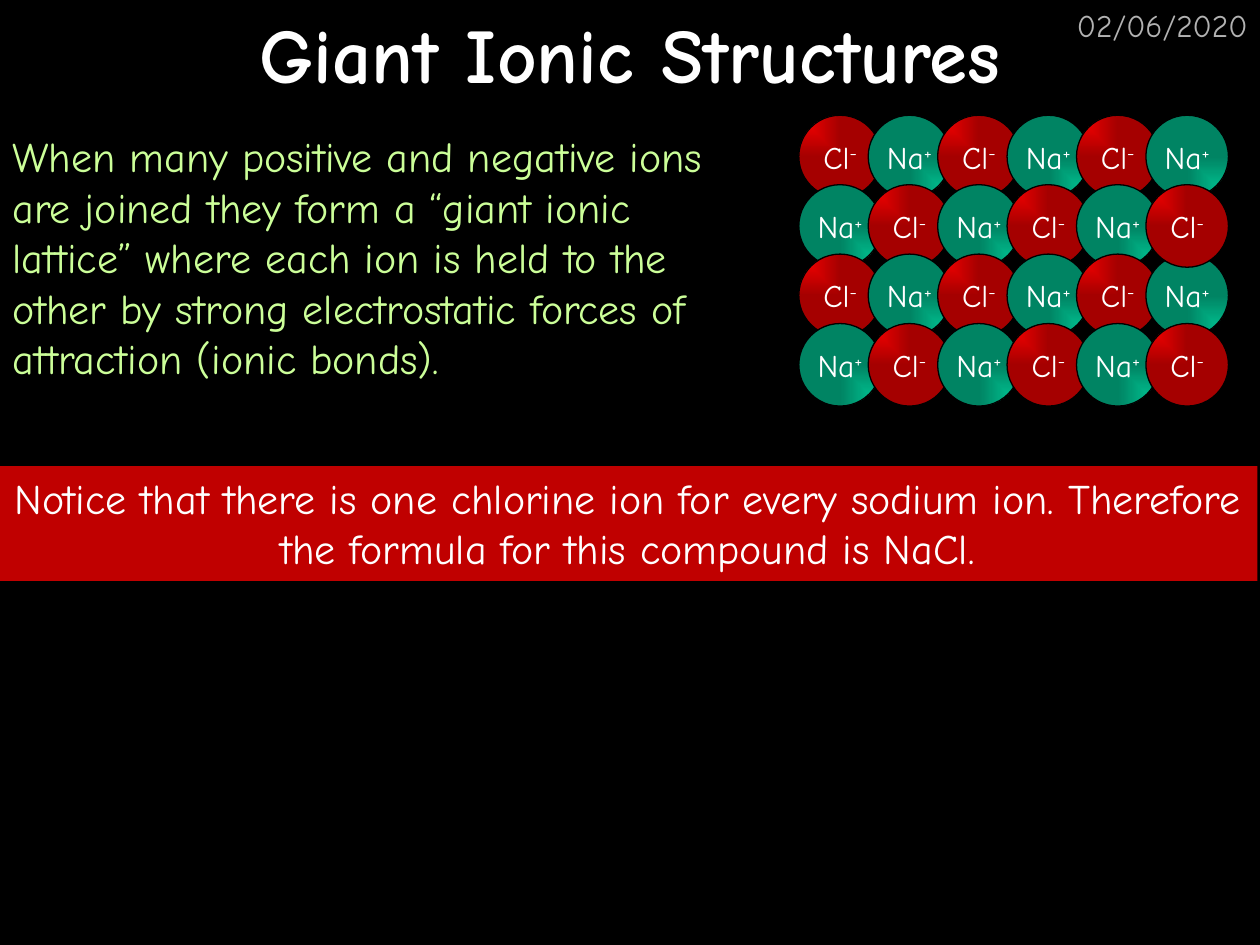
import pptx
import pptx.dml.color
import pptx.enum.shapes
import pptx.enum.text
import pptx.oxml
import pptx.oxml.ns
import pptx.util

ALIGN = pptx.enum.text.PP_ALIGN
ANCHOR = pptx.enum.text.MSO_ANCHOR
SIZE = pptx.enum.text.MSO_AUTO_SIZE
SHAPE = pptx.enum.shapes.MSO_SHAPE

COLORS = {
    "back": "000000", "white": "FFFFFF", "date": "B2B2B2", "lime": "CCFF99",
    "bar": "C00000", "red": "FF0000", "green": "00CC99",
}
# Symbol, charge, colour and the gradient's focus as left, top, right, bottom
CHLORIDE = ("Cl", "-", "red", (0, 0, 100, 100))
SODIUM = ("Na", "+", "green", (100, 100, 0, 0))


def tint(name):
    return pptx.dml.color.RGBColor.from_string(COLORS[name])


class Page:
    """Holds the style and the slide; lengths are cells of a 100 x 75 grid."""
    font = "Comic Neue"
    cols, rows = 100, 75

    def __init__(self, deck):
        self.dx = deck.slide_width / self.cols
        self.dy = deck.slide_height / self.rows
        self.slide = deck.slides.add_slide(deck.slide_layouts[5])
        fill = self.slide.background.fill
        fill.solid()
        fill.fore_color.rgb = tint("back")

    def place(self, x, y, w, h):
        return [round(n) for n in
                (x * self.dx, y * self.dy, w * self.dx, h * self.dy)]

    def style(self, para, size, color, align, bold=False):
        para.alignment = align
        for run in para.runs:
            run.font.name = self.font
            run.font.size = pptx.util.Pt(size)
            run.font.bold = bold
            run.font.color.rgb = tint(color)

    def label(self, shape, text, size, color, align, anchor=ANCHOR.TOP, bold=False):
        frame = shape.text_frame
        frame.text = text
        frame.word_wrap = True
        frame.auto_size = SIZE.NONE
        frame.vertical_anchor = anchor
        self.style(frame.paragraphs[0], size, color, align, bold)

    def title(self, cell, text):
        shape = self.slide.shapes.title
        shape.left, shape.top, shape.width, shape.height = self.place(*cell)
        self.label(shape, text, 44, "white", ALIGN.CENTER, ANCHOR.MIDDLE, True)

    def text(self, cell, text, size, color, align=ALIGN.LEFT):
        box = self.slide.shapes.add_textbox(*self.place(*cell))
        self.label(box, text, size, color, align)

    def band(self, cell, text):
        bar = self.slide.shapes.add_shape(SHAPE.RECTANGLE, *self.place(*cell))
        bar.shadow.inherit = False
        bar.fill.solid()
        bar.fill.fore_color.rgb = tint("bar")
        bar.line.fill.background()
        self.label(bar, text, 24, "white", ALIGN.CENTER)

    def glow(self, shape, color, focus):
        """Fill with a rectangular gradient from a corner to a darker shade."""
        shape.fill.background()
        old = shape._element.spPr.find(pptx.oxml.ns.qn("a:noFill"))
        left, top, right, low = (n * 1000 for n in focus)
        code = COLORS[color]
        new = pptx.oxml.parse_xml(
            f'<a:gradFill {pptx.oxml.ns.nsdecls("a")} rotWithShape="1"><a:gsLst>'
            f'<a:gs pos="0"><a:srgbClr val="{code}"/></a:gs>'
            f'<a:gs pos="100000"><a:srgbClr val="{code}">'
            '<a:shade val="36863"/></a:srgbClr></a:gs></a:gsLst>'
            f'<a:path path="rect"><a:fillToRect l="{left}" t="{top}" '
            f'r="{right}" b="{low}"/></a:path></a:gradFill>')
        old.getparent().replace(old, new)

    def ion(self, group, cell, kind):
        symbol, charge, color, focus = kind
        ball = group.shapes.add_shape(SHAPE.OVAL, *self.place(*cell))
        ball.shadow.inherit = False
        self.glow(ball, color, focus)
        ball.line.color.rgb = tint("back")
        ball.line.width = pptx.util.Pt(0.75)
        frame = ball.text_frame
        frame.word_wrap = False
        frame.vertical_anchor = ANCHOR.MIDDLE
        para = frame.paragraphs[0]
        para.text = symbol
        sign = para.add_run()
        sign.text = charge
        self.style(para, 18, "white", ALIGN.CENTER)
        sign._r.get_or_add_rPr().set("baseline", "30000")

    def lattice(self, x, y, step, size, cols, rows):
        """Alternate the ions; chlorides in the last column lie on top."""
        group = self.slide.shapes.add_group_shape()
        spots = [(row, col) for row in range(rows) for col in range(cols)]
        spots.sort(key=lambda s: s[1] == cols - 1 and s[0] % 2 == 1)
        for row, col in spots:
            kind = SODIUM if (row + col) % 2 else CHLORIDE
            self.ion(group, (x + col * step, y + row * step, size, size), kind)


def main():
    deck = pptx.Presentation()
    deck.slide_width = pptx.util.Inches(10)
    deck.slide_height = pptx.util.Inches(7.5)
    page = Page(deck)

    # Date and heading
    page.text((79.2, 0, 20.8, 5), "02/06/2020", 18, "date", ALIGN.RIGHT)
    page.title((0, 0, 100, 8.3), "Giant Ionic Structures")

    # Explanation beside the lattice
    page.text((0, 9.9, 60.2, 21),
              "When many positive and negative ions are joined they form a "
              "“giant ionic lattice” where each ion is held to the other by "
              "strong electrostatic forces of attraction (ionic bonds).",
              24, "lime")
    page.lattice(63.4, 9.15, 5.51, 6.55, cols=6, rows=4)

    # Conclusion
    page.band((-0.2, 37, 100, 9.1),
              "Notice that there is one chlorine ion for every sodium ion. "
              "Therefore the formula for this compound is NaCl.")

    deck.save("out.pptx")


if __name__ == "__main__":
    main()
